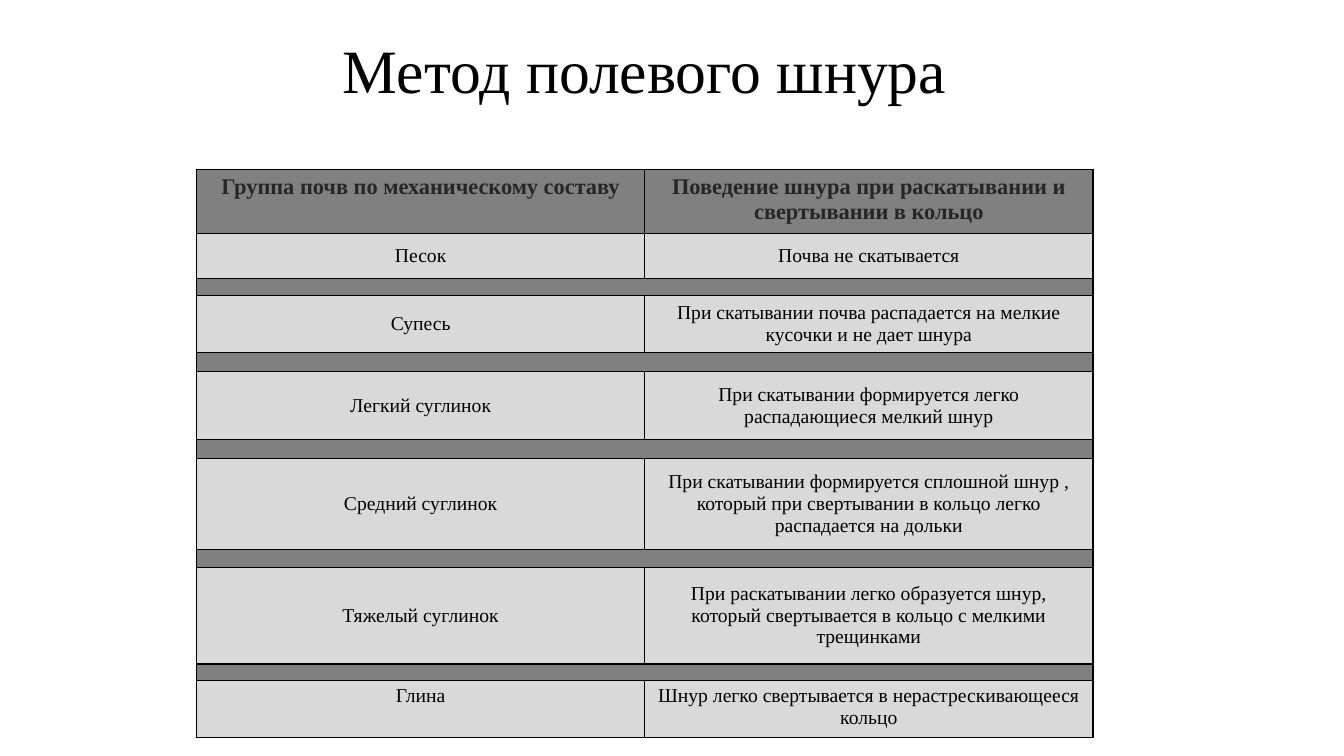
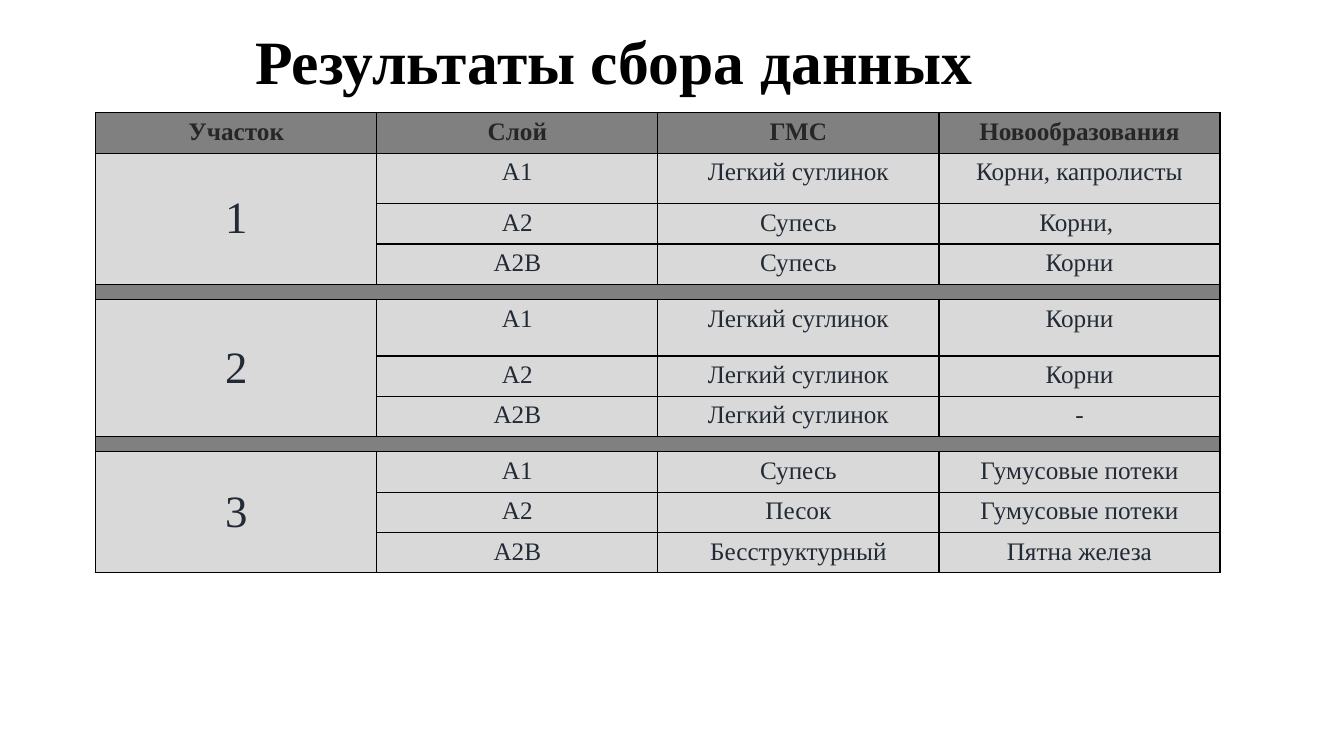
from lxml.etree import SubElement
from pptx import Presentation
from pptx.dml.color import RGBColor
from pptx.enum.text import MSO_ANCHOR, MSO_AUTO_SIZE, PP_ALIGN
from pptx.oxml import parse_xml
from pptx.oxml.ns import nsdecls, qn
from pptx.util import Inches, Pt

FONT = "Times New Roman"
COLORS = {
    "black": "000000",
    "header_text": "262626",
    "dark_text": "222A35",
    "band": "808080",
    "cell": "D9D9D9",
}
BORDER_SIDES = ("lnL", "lnR", "lnT", "lnB")
TOP, MIDDLE = MSO_ANCHOR.TOP, MSO_ANCHOR.MIDDLE


class SlideBuilder:
    def __init__(self):
        self.deck = Presentation()
        self.deck.slide_width = Inches(13.33)
        self.deck.slide_height = Inches(7.5)
        self.slide = None

    def add_slide(self):
        self.slide = self.deck.slides.add_slide(self.deck.slide_layouts[5])

    def add_text(self, frame, text, size, color, bold=False, align=PP_ALIGN.CENTER):
        para = frame.paragraphs[0]
        para.alignment = align
        span = para.add_run()
        span.text = text
        span.font.name = FONT
        span.font.size = Pt(size)
        span.font.bold = bold
        span.font.color.rgb = RGBColor.from_string(COLORS[color])

    def title(self, text, left, top, width, bold=False, align=PP_ALIGN.CENTER):
        box = self.slide.shapes.title
        box.left, box.top = Inches(left), Inches(top)
        box.width, box.height = Inches(width), Inches(0.84)
        frame = box.text_frame
        frame.word_wrap = True
        frame.auto_size = MSO_AUTO_SIZE.SHAPE_TO_FIT_TEXT
        frame.vertical_anchor = MIDDLE
        self.add_text(frame, text, 44, "black", bold, align)

    def table(self, left, top, width, heights, columns):
        frame = self.slide.shapes.add_table(
            len(heights), columns, Inches(left), Inches(top),
            Inches(width), Inches(sum(heights)))
        table = frame.table
        table.first_row = table.horz_banding = False
        for column in table.columns:
            column.width = Inches(width / columns)
        for row, height in zip(table.rows, heights):
            row.height = Inches(height)
            for cell in row.cells:
                self.style_cell(cell, "cell")
        return table

    def style_cell(self, cell, fill):
        properties = cell._tc.get_or_add_tcPr()
        if properties.find(qn("a:lnL")) is None:
            for side in BORDER_SIDES:
                properties.append(parse_xml(
                    f'<a:{side} {nsdecls("a")} w="12700"><a:solidFill>'
                    f'<a:srgbClr val="{COLORS["black"]}"/></a:solidFill></a:{side}>'))
        cell.fill.solid()
        cell.fill.fore_color.rgb = RGBColor.from_string(COLORS[fill])

    def fill_cell(self, cell, text, size, color, anchor=TOP):
        cell.vertical_anchor = anchor
        self.add_text(cell.text_frame, text, size, color)

    def header(self, table, labels, size):
        for cell, label in zip(table.rows[0].cells, labels):
            self.style_cell(cell, "band")
            self.add_text(cell.text_frame, label, size, "header_text", True)

    def band(self, table, row):
        cells = list(table.rows[row].cells)
        for cell in cells:
            self.style_cell(cell, "band")
            cell.margin_top = cell.margin_bottom = 0
            para = cell.text_frame.paragraphs[0]
            SubElement(para._p, qn("a:endParaRPr"), sz="400")
        cells[0].merge(cells[-1])


def build_method_slide(builder):
    builder.add_slide()
    builder.title("Метод полевого шнура", 3.02, 0.26, 6.75)
    soils = [
        ("Песок", "Почва не скатывается", MIDDLE),
        ("Супесь", "При скатывании почва распадается на мелкие кусочки и не дает шнура", MIDDLE),
        ("Легкий суглинок", "При скатывании формируется легко распадающиеся мелкий шнур", MIDDLE),
        ("Средний суглинок", "При скатывании формируется сплошной шнур , который при "
         "свертывании в кольцо легко распадается на дольки", MIDDLE),
        ("Тяжелый суглинок", "При раскатывании легко образуется шнур, который "
         "свертывается в кольцо с мелкими трещинками", MIDDLE),
        ("Глина", "Шнур легко свертывается в нерастрескивающееся кольцо", TOP),
    ]
    heights = [0.64, 0.44, 0.17, 0.57, 0.19, 0.67, 0.19, 0.9, 0.18, 0.96, 0.16, 0.57]
    table = builder.table(1.95, 1.68, 8.89, heights, 2)
    builder.header(table, ["Группа почв по механическому составу",
                           "Поведение шнура при раскатывании и свертывании в кольцо"], 16)
    for index, (soil, behaviour, anchor) in enumerate(soils):
        row = 1 + 2 * index
        if index:
            builder.band(table, row - 1)
        for column, text in enumerate((soil, behaviour)):
            builder.fill_cell(table.cell(row, column), text, 14, "black", anchor)


def build_results_slide(builder):
    builder.add_slide()
    builder.title("Результаты сбора данных", 2.43, 0.17, 8.2, True, PP_ALIGN.LEFT)
    layers = ("A1", "A2", "A2B")
    plots = [
        [("Легкий суглинок", "Корни, капролисты"), ("Супесь", "Корни, "), ("Супесь", "Корни")],
        [("Легкий суглинок", "Корни"), ("Легкий суглинок", "Корни"), ("Легкий суглинок", "-")],
        [("Супесь", "Гумусовые потеки"), ("Песок", "Гумусовые потеки"),
         ("Бесструктурный", "Пятна железа")],
    ]
    heights = [0.4, 0.5, 0.4, 0.4, 0.15, 0.56, 0.4, 0.4, 0.15, 0.4, 0.4, 0.4]
    table = builder.table(0.95, 1.12, 11.15, heights, 4)
    builder.header(table, ["Участок", "Слой", "ГМС", "Новообразования"], 18)
    for index, samples in enumerate(plots):
        first = 1 + index * (len(layers) + 1)
        if index:
            builder.band(table, first - 1)
        plot = table.cell(first, 0)
        plot.merge(table.cell(first + len(layers) - 1, 0))
        builder.fill_cell(plot, str(index + 1), 32, "dark_text", MIDDLE)
        for offset, (layer, sample) in enumerate(zip(layers, samples)):
            for column, text in enumerate((layer, *sample), start=1):
                builder.fill_cell(table.cell(first + offset, column), text, 18, "dark_text")


def main():
    builder = SlideBuilder()
    build_method_slide(builder)
    build_results_slide(builder)
    builder.deck.save("out.pptx")


if __name__ == "__main__":
    main()
